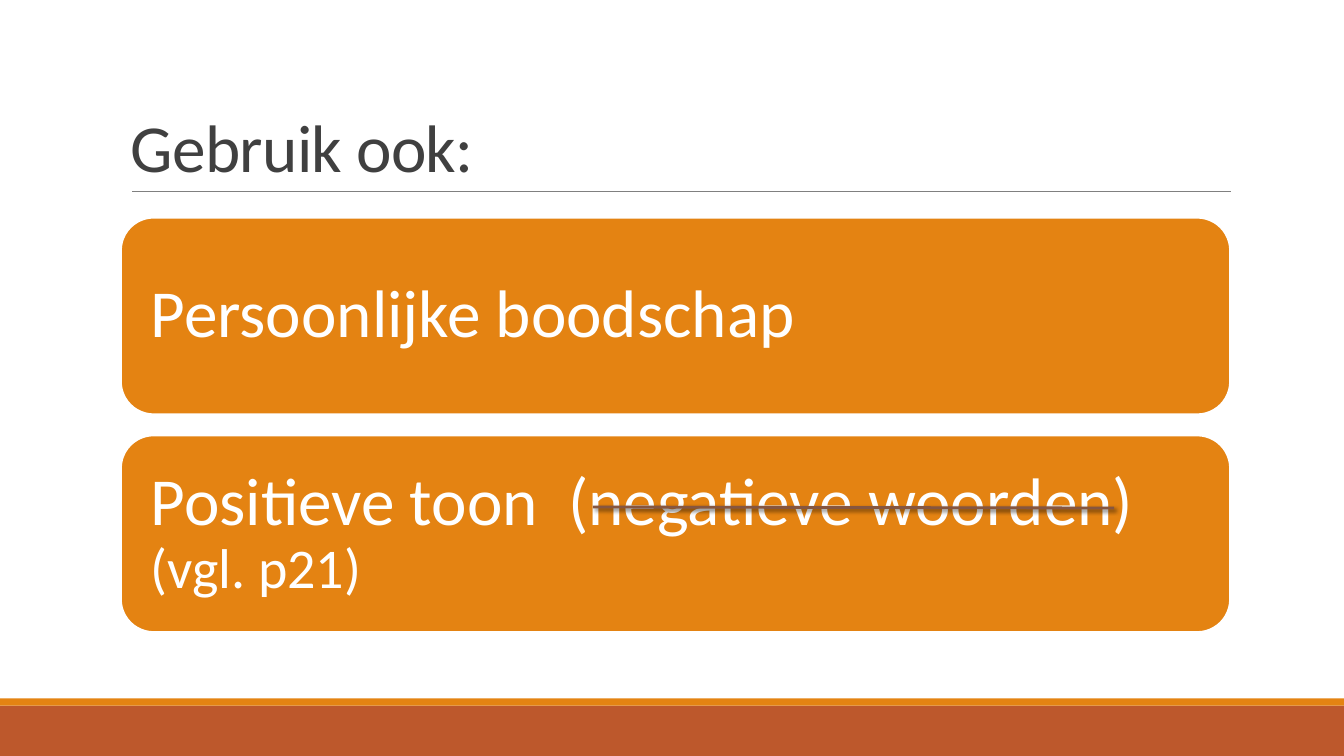
from lxml import etree
from pptx import Presentation
from pptx.dml.color import RGBColor
from pptx.enum import shapes, text
from pptx.oxml import parse_xml
from pptx.oxml.ns import nsdecls, qn
from pptx.util import Inches, Pt

ORANGE, RUST, WHITE = "E48312", "BD582C", "FFFFFF"
SHADE = (
    f'<a:effectLst {nsdecls("a")}>'
    '<a:outerShdw blurRad="38100" dist="25400" dir="2700000" rotWithShape="0">'
    '<a:srgbClr val="000000"><a:alpha val="60000"/></a:srgbClr>'
    '</a:outerShdw></a:effectLst>'
)


def color(code):
    return RGBColor.from_string(code)


def put(item, values):
    for name, value in values.items():
        setattr(item, name, value)


def write(frame, runs, code, anchor, inset, space):
    put(frame, {"word_wrap": True, "vertical_anchor": anchor})
    sides, ends = inset
    put(frame, {"margin_left": Inches(sides), "margin_right": Inches(sides),
                "margin_top": Inches(ends), "margin_bottom": Inches(ends)})
    para = frame.paragraphs[0]
    put(para, {"alignment": text.PP_ALIGN.LEFT, "line_spacing": space})
    for words, size in runs:
        run = para.add_run()
        run.text = words
        put(run.font, {"name": "Calibri", "size": Pt(size)})
        run.font.color.rgb = color(code)
    return para


def block(slide, kind, box, fill, edge=None):
    shape = slide.shapes.add_shape(kind, *map(Inches, box))
    shape.shadow.inherit = False
    shape.fill.solid()
    shape.fill.fore_color.rgb = color(fill)
    if edge:
        shape.line.color.rgb = color(edge)
        shape.line.width = Pt(1.25)
    else:
        shape.line.fill.background()
    return shape


def rule(slide, start, end, code, width, effect=None):
    line = slide.shapes.add_connector(
        shapes.MSO_CONNECTOR.STRAIGHT, *map(Inches, start + end))
    line.line.color.rgb = color(code)
    line.line.width = Pt(width)
    props = line._element.spPr
    if effect:
        props.append(parse_xml(effect))
    else:
        etree.SubElement(props, qn("a:effectLst"))


def footer(slide, box):
    left, top, width, height = box
    band = 0.07
    kind = shapes.MSO_SHAPE.RECTANGLE
    block(slide, kind, (left, top + band, width, height - band), RUST)
    block(slide, kind, (left, top, width, band), ORANGE)


def header(slide, box, words):
    left, top, width, height = box
    base = top + height
    rule(slide, (left + 0.11, base), (left + width + 0.01, base), "808080", 0.5)
    title = slide.shapes.add_textbox(*map(Inches, box))
    para = write(title.text_frame, [(words, 48)], "404040",
                 text.MSO_ANCHOR.BOTTOM, (0.1, 0.05), 0.85)
    para.runs[0].font._element.set("spc", "-50")


def cards(slide, box, items):
    left, top, width, height = box
    gap = 0.21
    tall = (height - gap * (len(items) - 1)) / len(items)
    for index, runs in enumerate(items):
        place = (left, top + index * (tall + gap), width, tall)
        card = block(slide, shapes.MSO_SHAPE.ROUNDED_RECTANGLE, place, ORANGE, WHITE)
        write(card.text_frame, runs, WHITE, text.MSO_ANCHOR.MIDDLE, (0.2, 0.2), 0.9)
    rule(slide, (left + 4.68, top + 2.87), (left + 9.85, top + 2.88),
         "865640", 2, SHADE)


def main():
    deck = Presentation()
    put(deck, {"slide_width": Inches(13.33), "slide_height": Inches(7.5)})
    slide = deck.slides.add_slide(deck.slide_layouts[6])
    footer(slide, (0, 6.93, 13.33, 0.57))
    header(slide, (1.2, 0.31, 11, 1.59), "Gebruik ook:")
    cards(slide, (1.2, 2.16, 11, 4.11), [
        [("Persoonlijke boodschap", 48)],
        [("Positieve toon  (negatieve woorden) ", 48), ("(vgl. p21)", 40)],
    ])
    deck.save("out.pptx")


if __name__ == "__main__":
    main()
